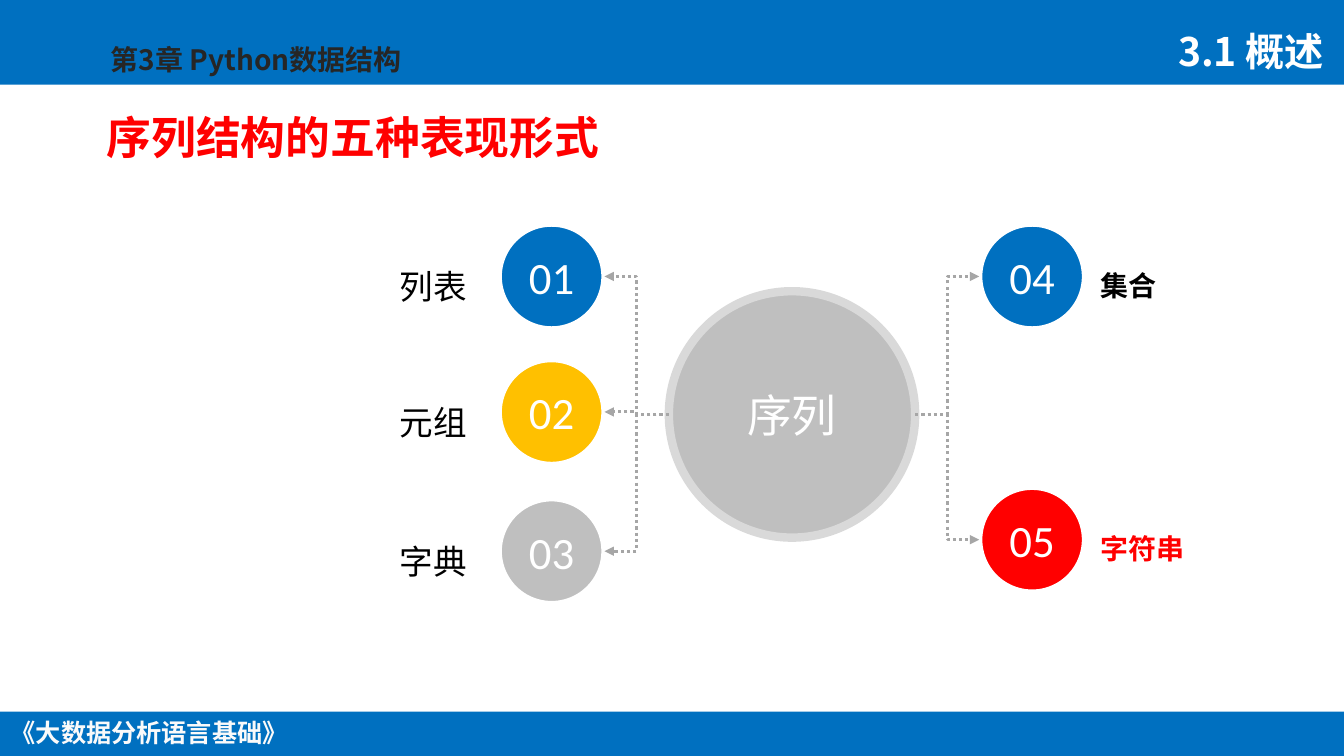
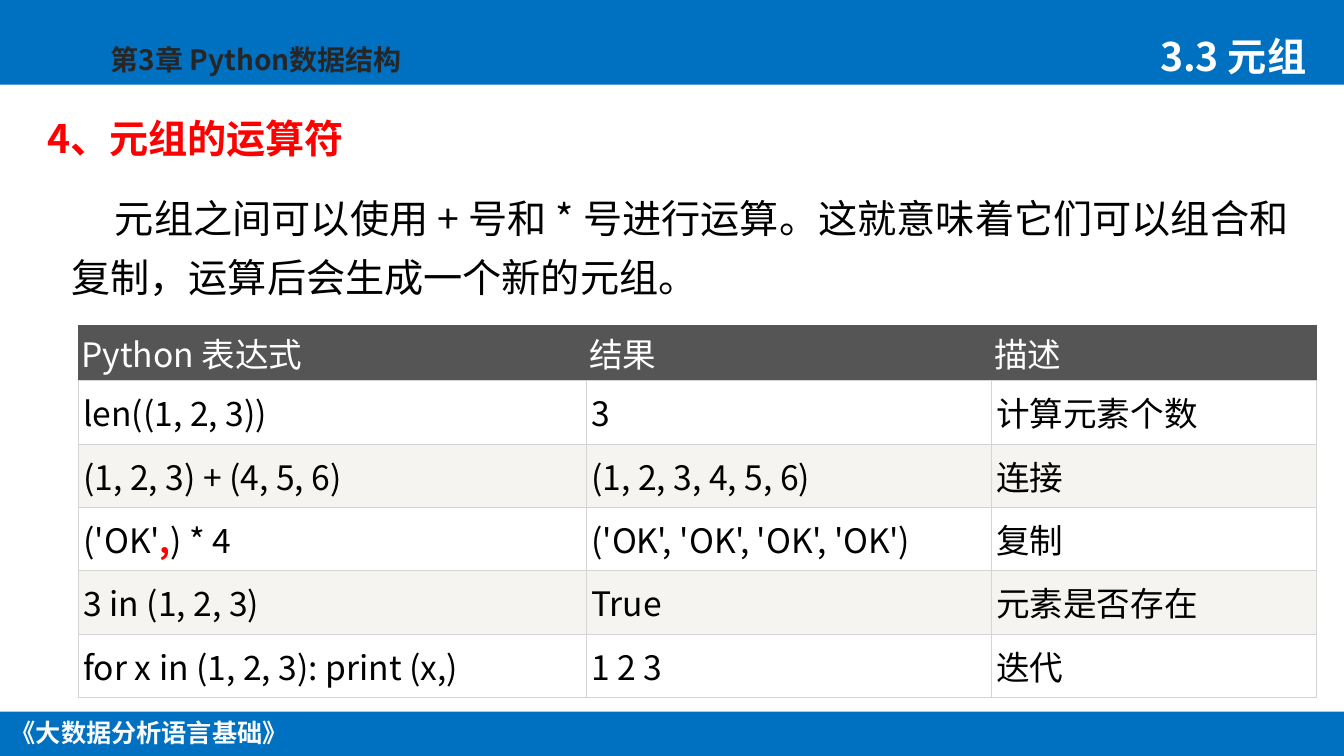
from lxml import etree
from pptx import Presentation
from pptx.dml.color import RGBColor
from pptx.enum.dml import MSO_LINE
from pptx.enum.shapes import MSO_CONNECTOR, MSO_SHAPE
from pptx.enum.text import MSO_ANCHOR, PP_ALIGN
from pptx.oxml.ns import qn
from pptx.util import Pt

BLUE = RGBColor(0x00, 0x70, 0xC0)
AMBER = RGBColor(0xFF, 0xC0, 0x00)
RED = RGBColor(0xFF, 0x00, 0x00)
WHITE = RGBColor(0xFF, 0xFF, 0xFF)
OFF_WHITE = RGBColor(0xFA, 0xFA, 0xFA)
BLACK = RGBColor(0x00, 0x00, 0x00)
INK = RGBColor(0x26, 0x26, 0x26)
SILVER = RGBColor(0xBF, 0xBF, 0xBF)
RING = RGBColor(0xD9, 0xD9, 0xD9)
ARROW = RGBColor(0xA6, 0xA6, 0xA6)
HEAD_FILL = RGBColor(0x55, 0x55, 0x55)
BAND_FILL = RGBColor(0xF6, 0xF4, 0xF0)
GRID = RGBColor(0xD4, 0xD4, 0xD4)

CJK = "Noto Sans CJK SC"
LEFT, CENTER, RIGHT, JUSTIFY = PP_ALIGN.LEFT, PP_ALIGN.CENTER, PP_ALIGN.RIGHT, PP_ALIGN.JUSTIFY
TOP, MIDDLE, BOTTOM = MSO_ANCHOR.TOP, MSO_ANCHOR.MIDDLE, MSO_ANCHOR.BOTTOM
RECTANGLE, OVAL = MSO_SHAPE.RECTANGLE, MSO_SHAPE.OVAL
ELBOW, DOTTED = MSO_CONNECTOR.ELBOW, MSO_LINE.ROUND_DOT

WIDTH, HEIGHT = 960.5, 540
HUB_X, HUB_Y, HUB_RADIUS = 566, 296, 88
NODE_RADIUS = 37.8
LEFT_X, RIGHT_X = 394.2, 737.6
LABEL_HEIGHT = 64.8

# number, label, centre y, fill
LEFT_NODES = [
    ("01", "列表", 197.5, BLUE),
    ("02", "元组", 294.3, AMBER),
    ("03", "字典", 393.7, SILVER),
]
# number, label, centre y, fill, label colour
RIGHT_NODES = [
    ("04", "集合", 197.5, BLUE, BLACK),
    ("05", "字符串", 385.5, RED, RED),
]

COLUMN_WIDTHS = (363, 289.3, 232.5)
HEAD_HEIGHT, ROW_HEIGHT = 39.3, 45.3
OPERATORS = [
    ("Python 表达式", "结果", "描述"),
    ("len((1, 2, 3))", "3", "计算元素个数"),
    ("(1, 2, 3) + (4, 5, 6)", "(1, 2, 3, 4, 5, 6)", "连接"),
    (("('OK'", ",", ") * 4"), "('OK', 'OK', 'OK', 'OK')", "复制"),
    ("3 in (1, 2, 3)", "True", "元素是否存在"),
    ("for x in (1, 2, 3): print (x,)", "1 2 3", "迭代"),
]


def style(paragraph, size, color, bold=False, latin=CJK, align=LEFT, spacing=None):
    paragraph.alignment = align
    if spacing:
        paragraph.line_spacing = spacing
    font = paragraph.font
    font.size, font.bold, font.name = Pt(size), bold, latin
    font.color.rgb = color
    defaults = paragraph._p.pPr.find(qn("a:defRPr"))
    defaults.find(qn("a:latin")).addnext(
        defaults.makeelement(qn("a:ea"), {"typeface": CJK}))


def add_text(slide, box, text, size, color, anchor=TOP, wrap=True, inset=7.2, **look):
    frame = slide.shapes.add_textbox(*map(Pt, box)).text_frame
    frame.word_wrap = wrap
    frame.vertical_anchor = anchor
    frame.margin_left = frame.margin_right = Pt(inset)
    paragraph = frame.paragraphs[0]
    paragraph.text = text
    style(paragraph, size, color, **look)
    return paragraph


def add_band(slide, top, height):
    band = slide.shapes.add_shape(RECTANGLE, 0, Pt(top), Pt(WIDTH), Pt(height))
    band.shadow.inherit = False
    band.fill.solid()
    band.fill.fore_color.rgb = BLUE
    band.line.fill.background()


def add_circle(slide, x, y, radius, fill, outline, outline_width, text, latin):
    circle = slide.shapes.add_shape(
        OVAL, Pt(x - radius), Pt(y - radius), Pt(2 * radius), Pt(2 * radius))
    circle.shadow.inherit = False
    circle.fill.solid()
    circle.fill.fore_color.rgb = fill
    circle.line.color.rgb = outline
    circle.line.width = Pt(outline_width)
    frame = circle.text_frame
    frame.vertical_anchor = MIDDLE
    frame.paragraphs[0].text = text
    style(frame.paragraphs[0], 32, WHITE, latin=latin, align=CENTER)


def add_elbow_arrow(slide, start, end):
    arrow = slide.shapes.add_connector(ELBOW, *map(Pt, (*start, *end)))
    arrow.line.color.rgb = ARROW
    arrow.line.width = Pt(2.25)
    arrow.line.dash_style = DOTTED
    properties = arrow._element.spPr
    etree.SubElement(properties.find(qn("a:ln")), qn("a:tailEnd"), type="triangle")
    etree.SubElement(properties, qn("a:effectLst"))


def add_node(slide, x, y, number, fill):
    """Add a numbered circle and the arrow that reaches it from the hub."""
    side = 1 if x > HUB_X else -1
    add_circle(slide, x, y, NODE_RADIUS, fill, WHITE, 4.5, number, "Calibri")
    add_elbow_arrow(slide, (HUB_X + side * HUB_RADIUS, HUB_Y), (x - side * NODE_RADIUS, y))


def add_label(slide, left, width, center_y, text, size, color, **look):
    add_text(slide, (left, center_y - LABEL_HEIGHT / 2, width, LABEL_HEIGHT), text, size,
             color, anchor=MIDDLE, inset=0, spacing=1.5, **look)


def set_borders(cell, side_color):
    """Draw the cell's edges; the bottom one always has the grid colour."""
    for edge in ("lnL", "lnR", "lnT", "lnB"):
        line = etree.SubElement(cell._tc.get_or_add_tcPr(), qn(f"a:{edge}"), w=str(Pt(0.75)))
        fill = etree.SubElement(line, qn("a:solidFill"))
        color = GRID if edge == "lnB" else side_color
        etree.SubElement(fill, qn("a:srgbClr"), val=str(color))


def fill_cell(cell, content, row_index):
    is_head = row_index == 0
    set_borders(cell, HEAD_FILL if is_head else GRID)
    cell.fill.solid()
    cell.fill.fore_color.rgb = HEAD_FILL if is_head else (BAND_FILL, WHITE)[row_index % 2]
    cell.margin_left = cell.margin_right = Pt(2.2 if is_head else 3.6)
    cell.margin_top = cell.margin_bottom = Pt(2.2 if is_head else 5)
    paragraph = cell.text_frame.paragraphs[0]
    parts = (content,) if isinstance(content, str) else content
    for part in parts:
        run = paragraph.add_run()
        run.text = part
        if part == ",":
            run.font.bold = True
            run.font.color.rgb = RED
    style(paragraph, 24, WHITE if is_head else BLACK)


def add_operator_table(slide, left, top):
    height = HEAD_HEIGHT + ROW_HEIGHT * (len(OPERATORS) - 1)
    table = slide.shapes.add_table(
        len(OPERATORS), len(COLUMN_WIDTHS),
        Pt(left), Pt(top), Pt(sum(COLUMN_WIDTHS)), Pt(height)).table
    table.first_row = table.horz_banding = False
    for column, width in zip(table.columns, COLUMN_WIDTHS):
        column.width = Pt(width)
    for row_index, (row, contents) in enumerate(zip(table.rows, OPERATORS)):
        row.height = Pt(ROW_HEIGHT if row_index else HEAD_HEIGHT)
        for cell, content in zip(row.cells, contents):
            fill_cell(cell, content, row_index)


def add_course_slide(deck, section, section_box):
    """Add a blank slide with the bands, course, chapter and section names."""
    slide = deck.slides.add_slide(deck.slide_layouts[6])
    add_band(slide, 0, 60.5)
    add_band(slide, 508.3, 32.4)
    add_text(slide, (-0.7, 509, 214.6, 29), "《大数据分析语言基础》", 18, OFF_WHITE,
             wrap=False, bold=True, align=CENTER)
    add_text(slide, (72, 26.6, 272, 31.5), "第3章 Python数据结构", 20, INK, bold=True)
    add_text(slide, section_box, section, 28, WHITE, anchor=BOTTOM, bold=True,
             align=RIGHT, spacing=0.9)
    return slide


def add_sequence_slide(deck):
    slide = add_course_slide(deck, "3.1 概述", (797, 9.4, 156.3, 47.5))
    add_text(slide, (69, 75, 567, 46), "序列结构的五种表现形式", 32, RED, bold=True)
    add_circle(slide, HUB_X, HUB_Y, HUB_RADIUS, SILVER, RING, 6, "序列", "Arial")
    for number, label, y, fill in LEFT_NODES:
        add_node(slide, LEFT_X, y, number, fill)
        add_label(slide, 181, 152.6, y, label, 24, BLACK, latin="Arial", align=RIGHT)
    for number, label, y, fill, color in RIGHT_NODES:
        add_node(slide, RIGHT_X, y, number, fill)
        add_label(slide, 786.2, 160, y, label, 20, color, bold=True)


def add_operator_slide(deck):
    slide = add_course_slide(deck, "3.3 元组", (695.5, 15, 245, 45.5))
    add_text(slide, (26.6, 62, 649.4, 57), "4、元组的运算符", 28, RED, anchor=BOTTOM,
             bold=True, spacing=0.9)
    summary = add_text(
        slide, (44, 126.7, 884.2, 98),
        "元组之间可以使用 + 号和 * 号进行运算。这就意味着它们可以组合和复制，运算后会生成一个新的元组。",
        28, BLACK, align=JUSTIFY, spacing=Pt(42))
    summary._p.pPr.set("indent", str(Pt(31)))
    add_operator_table(slide, 56, 232.6)


def main():
    deck = Presentation()
    deck.slide_width, deck.slide_height = Pt(WIDTH), Pt(HEIGHT)
    add_sequence_slide(deck)
    add_operator_slide(deck)
    deck.save("out.pptx")


if __name__ == "__main__":
    main()
